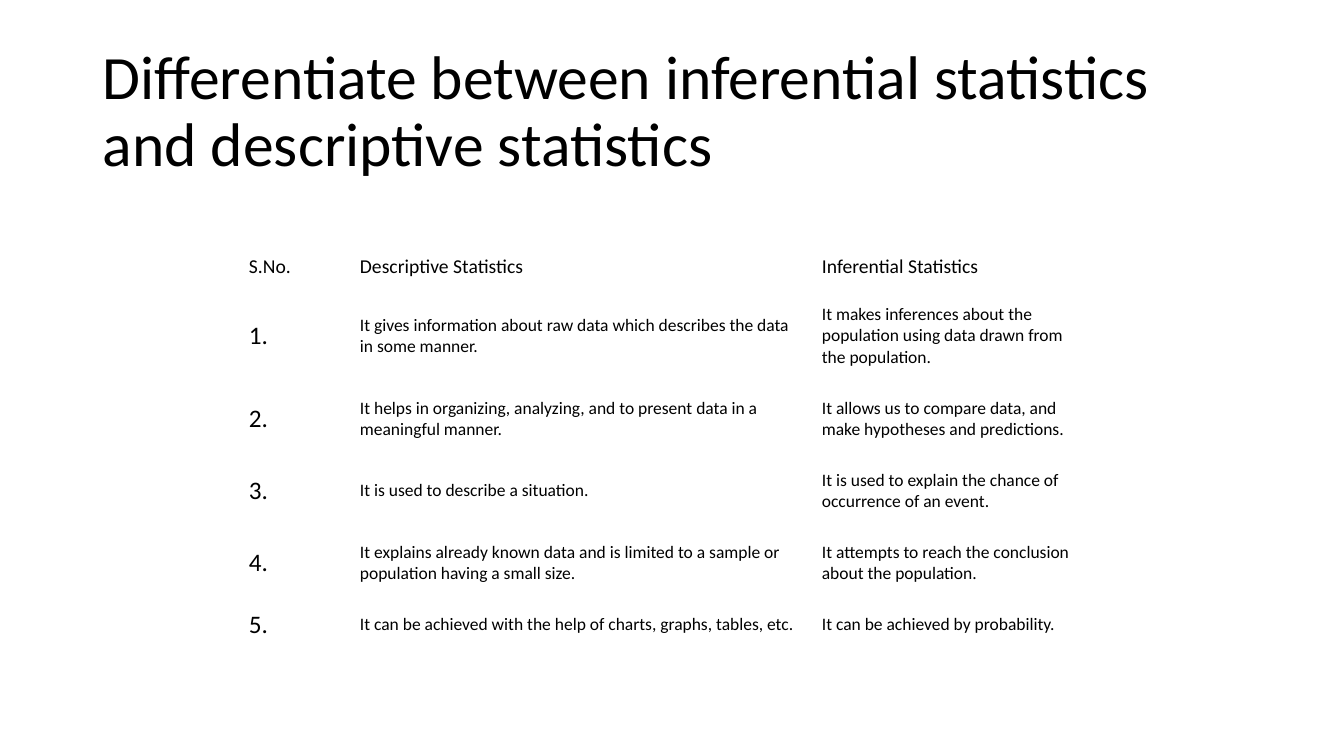
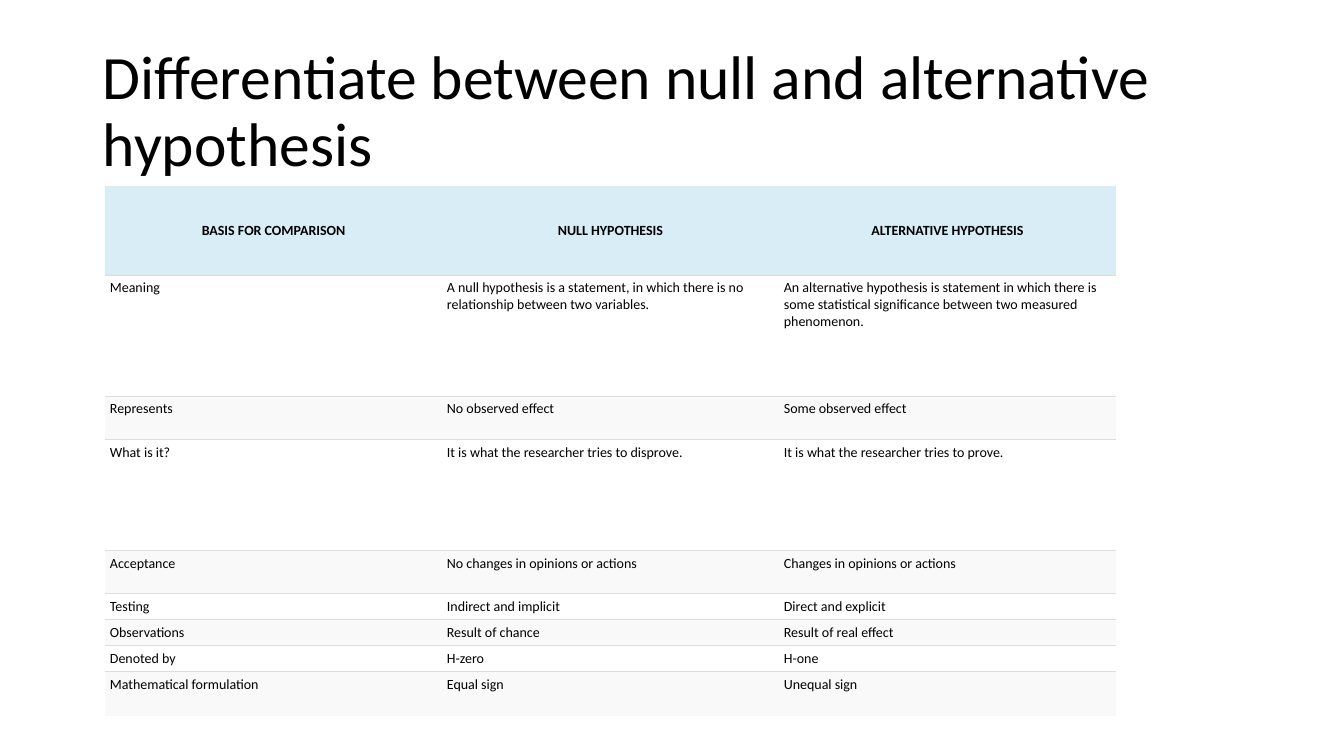
"""Build two slides that compare statistical terms in tables."""
from lxml.etree import SubElement as Sub
from pptx import Presentation
from pptx.dml.color import RGBColor as RGB
from pptx.enum.text import MSO_ANCHOR as Anchor, PP_ALIGN as Align
from pptx.oxml.ns import qn
from pptx.util import Emu, Pt

SCALE = 914400 / 100.8
FONT = "Calibri"
BLACK = RGB(0x00, 0x00, 0x00)
WHITE = RGB(0xFF, 0xFF, 0xFF)
SKY = RGB(0xD9, 0xED, 0xF7)
PALE = RGB(0xF9, 0xF9, 0xF9)
RULE = RGB(0xDD, 0xDD, 0xDD)


def px(n):
    return Emu(round(n * SCALE))


class Deck:
    def __init__(self):
        self.pres = Presentation()
        self.pres.slide_width = px(1344)
        self.pres.slide_height = px(756)
        self.slide = None

    def page(self, title):
        self.slide = self.pres.slides.add_slide(self.pres.slide_layouts[6])
        frame = self.slide.shapes.add_textbox(
            px(93), px(40), px(1159), px(146)).text_frame
        frame.word_wrap = True
        frame.vertical_anchor = Anchor.MIDDLE
        para = frame.paragraphs[0]
        para.line_spacing = 0.9
        self.label(para, title, 44)

    def label(self, para, text, size, bold=False, align=Align.LEFT):
        para.text = text
        para.alignment = align
        font = para.font
        font.name, font.size, font.bold = FONT, Pt(size), bold
        font.color.rgb = BLACK

    def grid(self, left, top, cols, rows):
        table = self.slide.shapes.add_table(
            len(rows), len(cols), px(left), px(top),
            px(sum(cols)), px(sum(rows))).table
        table.first_row = table.horz_banding = False
        for col, width in zip(table.columns, cols):
            col.width = px(width)
        for row, height in zip(table.rows, rows):
            row.height = px(height)
        return table

    def cell(self, cell, text, size, pad, fill=WHITE, anchor=Anchor.MIDDLE,
             rules="", **style):
        cell.margin_left = cell.margin_right = px(pad[0])
        cell.margin_top = cell.margin_bottom = px(pad[1])
        cell.vertical_anchor = anchor
        self.edges(cell, rules)
        cell.fill.solid()
        cell.fill.fore_color.rgb = fill
        self.label(cell.text_frame.paragraphs[0], text, size, **style)

    def edges(self, cell, rules):
        props = cell._tc.get_or_add_tcPr()
        for side in "LRTB":
            line = Sub(props, qn("a:ln" + side), w=str(Pt(0.75)))
            if side in rules:
                paint = Sub(line, qn("a:solidFill"))
                Sub(paint, qn("a:srgbClr"), val=str(RULE))
            else:
                Sub(line, qn("a:noFill"))


STATS = [
    ("S.No.", "Descriptive Statistics", "Inferential Statistics"),
    ("1.", "It gives information about raw data which describes the data in some manner.",
     "It makes inferences about the population using data drawn from the population."),
    ("2.", "It helps in organizing, analyzing, and to present data in a meaningful manner.",
     "It allows us to compare data, and make hypotheses and predictions."),
    ("3.", "It is used to describe a situation.",
     "It is used to explain the chance of occurrence of an event."),
    ("4.", "It explains already known data and is limited to a sample or population having a small size.",
     "It attempts to reach the conclusion about the population."),
    ("5.", "It can be achieved with the help of charts, graphs, tables, etc.",
     "It can be achieved by probability."),
]
TESTS = [
    ("BASIS FOR COMPARISON", "NULL HYPOTHESIS", "ALTERNATIVE HYPOTHESIS"),
    ("Meaning",
     "A null hypothesis is a statement, in which there is no relationship between two variables.",
     "An alternative hypothesis is statement in which there is some statistical "
     "significance between two measured phenomenon."),
    ("Represents", "No observed effect", "Some observed effect"),
    ("What is it?", "It is what the researcher tries to disprove.",
     "It is what the researcher tries to prove."),
    ("Acceptance", "No changes in opinions or actions", "Changes in opinions or actions"),
    ("Testing", "Indirect and implicit", "Direct and explicit"),
    ("Observations", "Result of chance", "Result of real effect"),
    ("Denoted by", "H-zero", "H-one"),
    ("Mathematical formulation", "Equal sign", "Unequal sign"),
]

deck = Deck()

deck.page("Differentiate between inferential statistics and descriptive statistics")
table = deck.grid(239, 245, [111, 462, 286], [44, 94, 72, 72, 72, 51])
for r, row in enumerate(STATS):
    for c, text in enumerate(row):
        if r == 0:
            size, pad = 14, (10, 10)
        elif c == 0:
            size, pad = 18, (10, 5)
        else:
            size, pad = 12.5, (10, 15)
        deck.cell(table.cell(r, c), text, size, pad)

deck.page("Differentiate between null and alternative hypothesis")
table = deck.grid(105, 186, [337] * 3, [89, 121, 44, 111, 43, 26, 26, 26, 44])
last = len(TESTS) - 1
for r, row in enumerate(TESTS):
    rules = "B" if r == 0 else "T" if r == last else "TB"
    if r == 0:
        look = dict(fill=SKY, bold=True, align=Align.CENTER)
    else:
        look = dict(fill=WHITE if r % 2 else PALE, anchor=Anchor.TOP)
    for c, text in enumerate(row):
        deck.cell(table.cell(r, c), text, 10, (5, 4), rules=rules, **look)

deck.pres.save("out.pptx")
